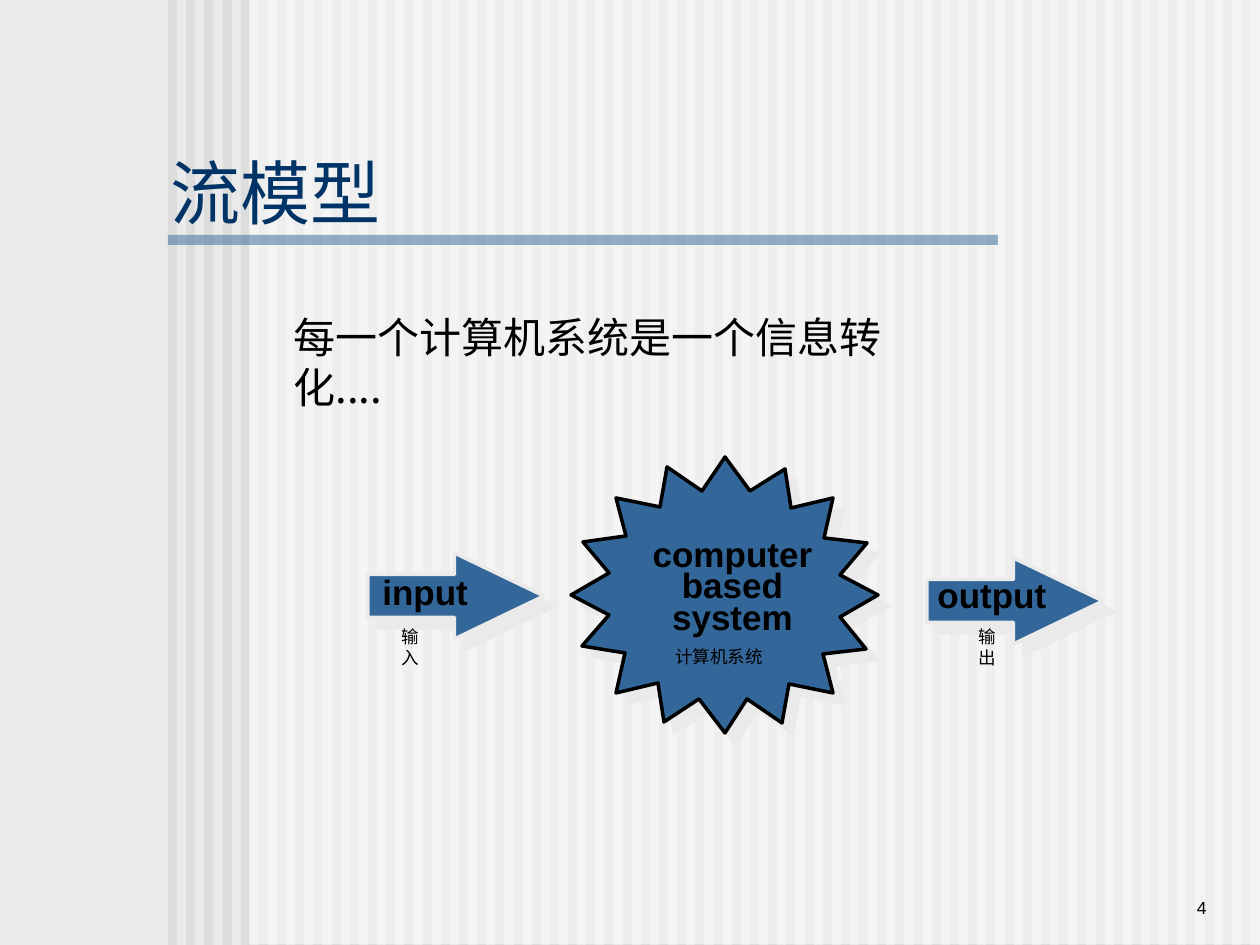
from dataclasses import dataclass

from lxml import etree
from pptx import Presentation
from pptx import util as u
from pptx.dml.color import RGBColor
from pptx.enum import shapes, text
from pptx.oxml import ns

SCALE = 914400 / 126  # EMU per px
WIDTH, HEIGHT = 1260, 945
COLORS = {
    "background": "EAEAEA", "stripe": "DDDDDD", "panel": "FFFFFF",
    "blue": "336699", "title": "003366", "black": "000000",
}
LATIN, CHINESE = "Arial", "Noto Sans CJK SC"
STRIPE_COUNT, STRIPE_LEFT, STRIPE_LAST, STRIPE_WIDTH = 60, 168, 1241, 9

BURST = [
    (571, 595), (609, 615), (582, 646), (625, 653), (616, 693), (658, 683),
    (664, 722), (699, 699), (725, 733), (747, 699), (782, 723), (789, 684),
    (833, 693), (823, 654), (866, 649), (840, 617), (878, 595), (840, 575),
    (867, 543), (824, 538), (833, 498), (791, 508), (785, 469), (750, 491),
    (725, 457), (702, 491), (667, 467), (660, 507), (616, 498), (626, 536),
    (583, 542), (609, 573),
]


@dataclass(frozen=True)
class Box:
    left: int
    top: int
    width: int
    height: int


@dataclass(frozen=True)
class Label:
    box: Box
    lines: tuple[str, ...]
    size: int
    font: str
    color: str = "black"
    bold: bool = False
    align: text.PP_ALIGN = text.PP_ALIGN.LEFT
    anchor: text.MSO_ANCHOR = text.MSO_ANCHOR.TOP
    wrap: bool = False
    spacing: float | None = None


ARROWS = [Box(368, 553, 176, 86), Box(927, 558, 176, 86)]
LABELS = [
    Label(Box(1040, 861, 179, 63), ("4",), 10, LATIN, wrap=True,
          align=text.PP_ALIGN.RIGHT, anchor=text.MSO_ANCHOR.BOTTOM),
    Label(Box(158, 158, 987, 67), ("流模型",), 40, LATIN, "title", wrap=True,
          anchor=text.MSO_ANCHOR.MIDDLE),
    Label(Box(281, 305, 680, 63), ("每一个计算机系统是一个信息转化....",), 24,
          CHINESE, wrap=True),
    Label(Box(640, 536, 185, 107), ("computer", "based", "system"), 20, LATIN,
          bold=True, align=text.PP_ALIGN.CENTER, spacing=0.75),
    Label(Box(370, 564, 111, 54), ("input",), 20, LATIN, bold=True),
    Label(Box(925, 567, 134, 54), ("output",), 20, LATIN, bold=True),
    Label(Box(389, 620, 59, 34), ("输入",), 10, CHINESE),
    Label(Box(966, 620, 59, 34), ("输出",), 10, CHINESE),
    Label(Box(663, 640, 112, 34), ("计算机系统",), 10, CHINESE),
]


def px(length: int) -> u.Emu:
    return u.Emu(round(length * SCALE))


def frame(box: Box) -> tuple[u.Emu, ...]:
    return px(box.left), px(box.top), px(box.width), px(box.height)


def color(name: str) -> RGBColor:
    return RGBColor.from_string(COLORS[name])


def paint(shape, fill: str, line: str | None = None) -> None:
    shape.shadow.inherit = False
    shape.fill.solid()
    shape.fill.fore_color.rgb = color(fill)
    if line is None:
        shape.line.fill.background()
    else:
        shape.line.color.rgb = color(line)
        shape.line.width = u.Pt(2)


def add_bar(slide, box: Box, fill: str, opacity: int = 100) -> None:
    shape = slide.shapes.add_shape(shapes.MSO_SHAPE.RECTANGLE, *frame(box))
    paint(shape, fill)
    if opacity < 100:
        rgb = shape.fill._xPr.find(".//" + ns.qn("a:srgbClr"))
        etree.SubElement(rgb, ns.qn("a:alpha"), val=str(opacity * 1000))


def add_shadow(shape) -> None:
    effects = shape._element.spPr.find(ns.qn("a:effectLst"))
    shadow = etree.SubElement(
        effects, ns.qn("a:outerShdw"), blurRad="0", dist=str(u.Pt(8.5)),
        dir="2700000", algn="ctr", rotWithShape="0")
    etree.SubElement(shadow, ns.qn("a:srgbClr"), val=COLORS["background"])


def add_burst(slide, points: list[tuple[int, int]]) -> None:
    builder = slide.shapes.build_freeform(*points[0], scale=SCALE)
    builder.add_line_segments(points[1:], close=True)
    shape = builder.convert_to_shape()
    paint(shape, "blue", "black")
    add_shadow(shape)


def add_arrow(slide, box: Box) -> None:
    shape = slide.shapes.add_shape(shapes.MSO_SHAPE.RIGHT_ARROW, *frame(box))
    shape.adjustments[0] = 0.5
    shape.adjustments[1] = 1.04
    paint(shape, "blue", "background")
    add_shadow(shape)


def add_label(slide, label: Label) -> None:
    text_frame = slide.shapes.add_textbox(*frame(label.box)).text_frame
    text_frame.word_wrap = label.wrap
    text_frame.vertical_anchor = label.anchor
    text_frame.text = "\n".join(label.lines)
    for paragraph in text_frame.paragraphs:
        paragraph.alignment = label.align
        if label.spacing is not None:
            paragraph.line_spacing = label.spacing
        paragraph.font.name = label.font
        paragraph.font.size = u.Pt(label.size)
        paragraph.font.bold = label.bold
        paragraph.font.color.rgb = color(label.color)


def main() -> None:
    presentation = Presentation()
    presentation.slide_width, presentation.slide_height = px(WIDTH), px(HEIGHT)
    slide = presentation.slides.add_slide(presentation.slide_layouts[6])

    # Striped background, pale panel and title rule
    slide.background.fill.solid()
    slide.background.fill.fore_color.rgb = color("background")
    pitch = (STRIPE_LAST - STRIPE_LEFT) / (STRIPE_COUNT - 1)
    for index in range(STRIPE_COUNT):
        left = STRIPE_LEFT + round(index * pitch)
        add_bar(slide, Box(left, 0, STRIPE_WIDTH, HEIGHT), "stripe")
    add_bar(slide, Box(249, 0, WIDTH - 249, HEIGHT - 1), "panel", 50)
    add_bar(slide, Box(168, 235, 830, 10), "blue", 50)

    # Flow: input, system, output
    add_burst(slide, BURST)
    for arrow in ARROWS:
        add_arrow(slide, arrow)

    # Title, sentence, labels and page number
    for label in LABELS:
        add_label(slide, label)

    presentation.save("out.pptx")


if __name__ == "__main__":
    main()
